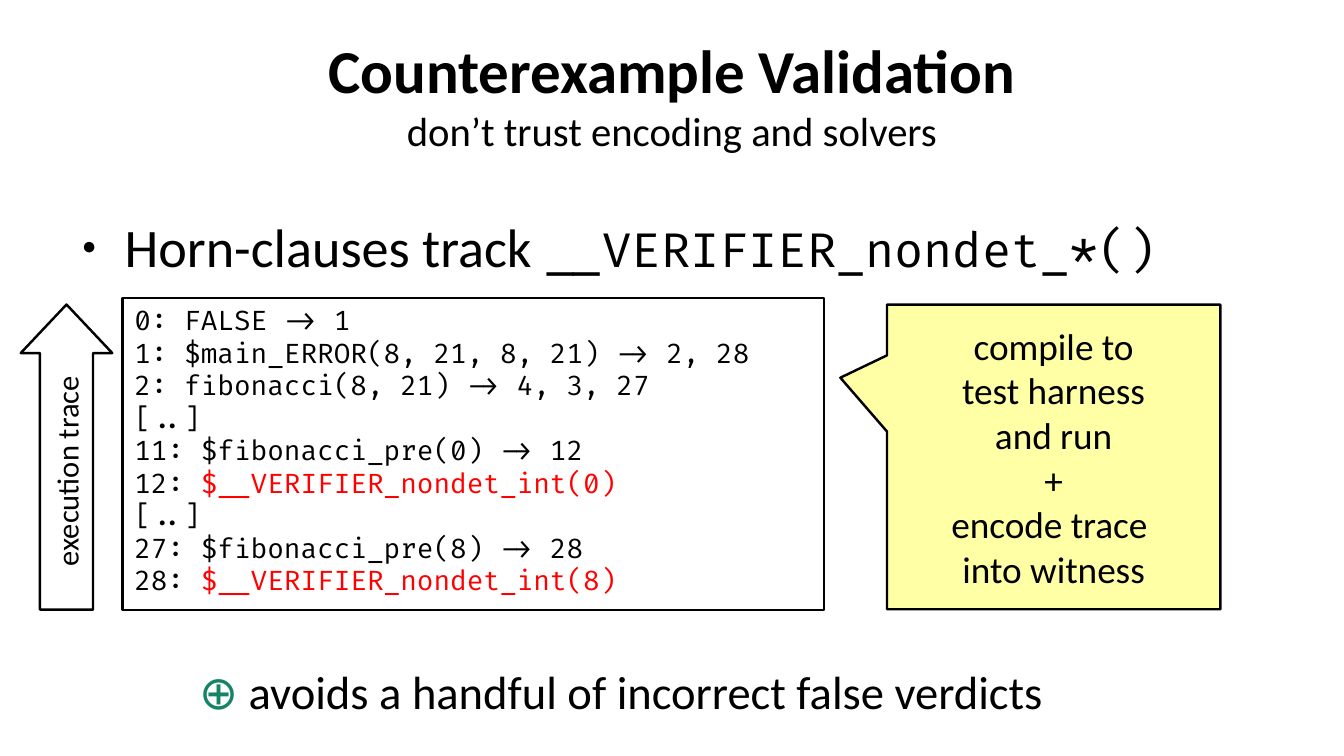
from lxml.etree import SubElement
from pptx import Presentation
from pptx.dml.color import RGBColor
from pptx.enum.shapes import MSO_SHAPE as Shape
from pptx.enum.text import MSO_ANCHOR as Anchor, MSO_AUTO_SIZE as AutoSize, PP_ALIGN as Align
from pptx.oxml.ns import qn
from pptx.util import Inches, Pt

BLACK, WHITE, RED, GREEN, YELLOW = "000000", "FFFFFF", "FF0000", "158466", "FFFFA6"
SANS, MONO = "Calibri", "Fira Code"


def color(hex_code):
    return RGBColor.from_string(hex_code)


def write(frame, paragraphs, align=Align.CENTER, anchor=Anchor.MIDDLE, wrap=False,
          margins=(0.1, 0.05), **style):
    """Each paragraph is a list of (text, format changes); "\n" is a line break."""
    frame.auto_size, frame.word_wrap, frame.vertical_anchor = AutoSize.NONE, wrap, anchor
    frame.margin_left = frame.margin_right = Inches(margins[0])
    frame.margin_top = frame.margin_bottom = Inches(margins[1])
    for index, runs in enumerate(paragraphs):
        paragraph = frame.add_paragraph() if index else frame.paragraphs[0]
        paragraph.alignment = align
        for text, changes in runs:
            if text == "\n":
                paragraph.add_line_break()
                continue
            look = {"font": SANS, "ink": BLACK, "bold": False, **style, **changes}
            run = paragraph.add_run()
            run.text = text
            run.font.name, run.font.size = look["font"], Pt(look["size"])
            run.font.bold, run.font.color.rgb = look["bold"], color(look["ink"])


def plain(*lines):
    return [[(line, {})] for line in lines]


class Page:
    """Boxes are (left, top, width, height) in percent of the slide's size."""
    outline = 1.45

    def __init__(self, deck):
        self.width, self.height = deck.slide_width, deck.slide_height
        self.slide = deck.slides.add_slide(deck.slide_layouts[1])

    def place(self, box):
        sides = (self.width, self.height) * 2
        return [round(share * side / 100) for share, side in zip(box, sides)]

    def holder(self, number, box, paragraphs, **style):
        holder = self.slide.placeholders[number]
        holder.left, holder.top, holder.width, holder.height = self.place(box)
        write(holder.text_frame, paragraphs, wrap=True, margins=(0, 0), **style)
        return holder.text_frame

    def bullets(self, box, paragraphs, **style):
        frame = self.holder(1, box, paragraphs, align=Align.LEFT, anchor=Anchor.TOP, **style)
        for paragraph in frame.paragraphs:
            paragraph.space_before = Pt(14.2)
            props = paragraph._p.get_or_add_pPr()
            props.set("marL", str(Inches(0.47)))
            props.set("indent", str(Inches(-0.35)))
            SubElement(SubElement(props, qn("a:buClr")), qn("a:srgbClr"), val=BLACK)
            SubElement(props, qn("a:buSzPct"), val="45000")
            SubElement(props, qn("a:buChar"), char="●")

    def shape(self, kind, box, paragraphs, fill=WHITE, lined=True, adjust=(), turn=0, **style):
        shape = self.slide.shapes.add_shape(kind, *self.place(box))
        shape.shadow.inherit = False
        shape.rotation = turn
        for index, value in enumerate(adjust):
            shape.adjustments[index] = value
        shape.fill.solid()
        shape.fill.fore_color.rgb = color(fill)
        if lined:
            shape.line.color.rgb, shape.line.width = color(BLACK), Pt(self.outline)
        else:
            shape.line.fill.background()
        write(shape.text_frame, paragraphs, **style)


def main():
    deck = Presentation()
    deck.slide_width, deck.slide_height = Inches(11.02), Inches(6.2)
    page = Page(deck)

    # Heading and main point
    page.holder(0, (5, 3.2, 90, 18.4), [[
        ("Counterexample Validation", {"size": 36, "bold": True}),
        ("\n", {}),
        ("don’t trust encoding and solvers", {})]], size=24)
    page.bullets((5, 28.2, 90, 24.2), [[
        ("Horn-clauses track ", {}),
        ("__VERIFIER_nondet_*()", {"font": MONO, "size": 28})]], size=32)

    # Counterexample trace, with the nondeterministic inputs in red
    red = {"ink": RED}
    trace = [
        *plain("0: FALSE -> 1", "1: $main_ERROR(8, 21, 8, 21) -> 2, 28",
               "2: fibonacci(8, 21) -> 4, 3, 27", "[..]", "11: $fibonacci_pre(0) -> 12"),
        [("12: ", {}), ("$__VERIFIER_nondet_int(0)", red)],
        *plain("[..]", "27: $fibonacci_pre(8) -> 28"),
        [("28: ", {}), ("$__VERIFIER_nondet_int(8)", red)],
    ]
    page.shape(Shape.RECTANGLE, (9.1, 39.4, 52.2, 41.3), trace, size=16, font=MONO,
               align=Align.LEFT, anchor=Anchor.TOP, wrap=True)

    # What is done with the trace
    page.shape(Shape.RECTANGULAR_CALLOUT, (66, 40.3, 24.8, 40.3),
               plain("compile to", "test harness", "and run", "+", "encode trace ", "into witness"),
               fill=YELLOW, adjust=(-0.64, -0.26), size=22)

    # Benefit
    page.shape(Shape.RECTANGLE, (3.1, 85.3, 86.2, 12.1), [[
        ("⊕", {"ink": GREEN}),
        (" avoids a handful of incorrect false verdicts", {})]], lined=False, size=27.5)

    # Direction of execution
    page.shape(Shape.RIGHT_ARROW, (-6.4, 54.4, 22.7, 12.1), plain("execution trace"),
               adjust=(0.58, 0.53), turn=270, size=18)

    deck.save("out.pptx")


if __name__ == "__main__":
    main()
